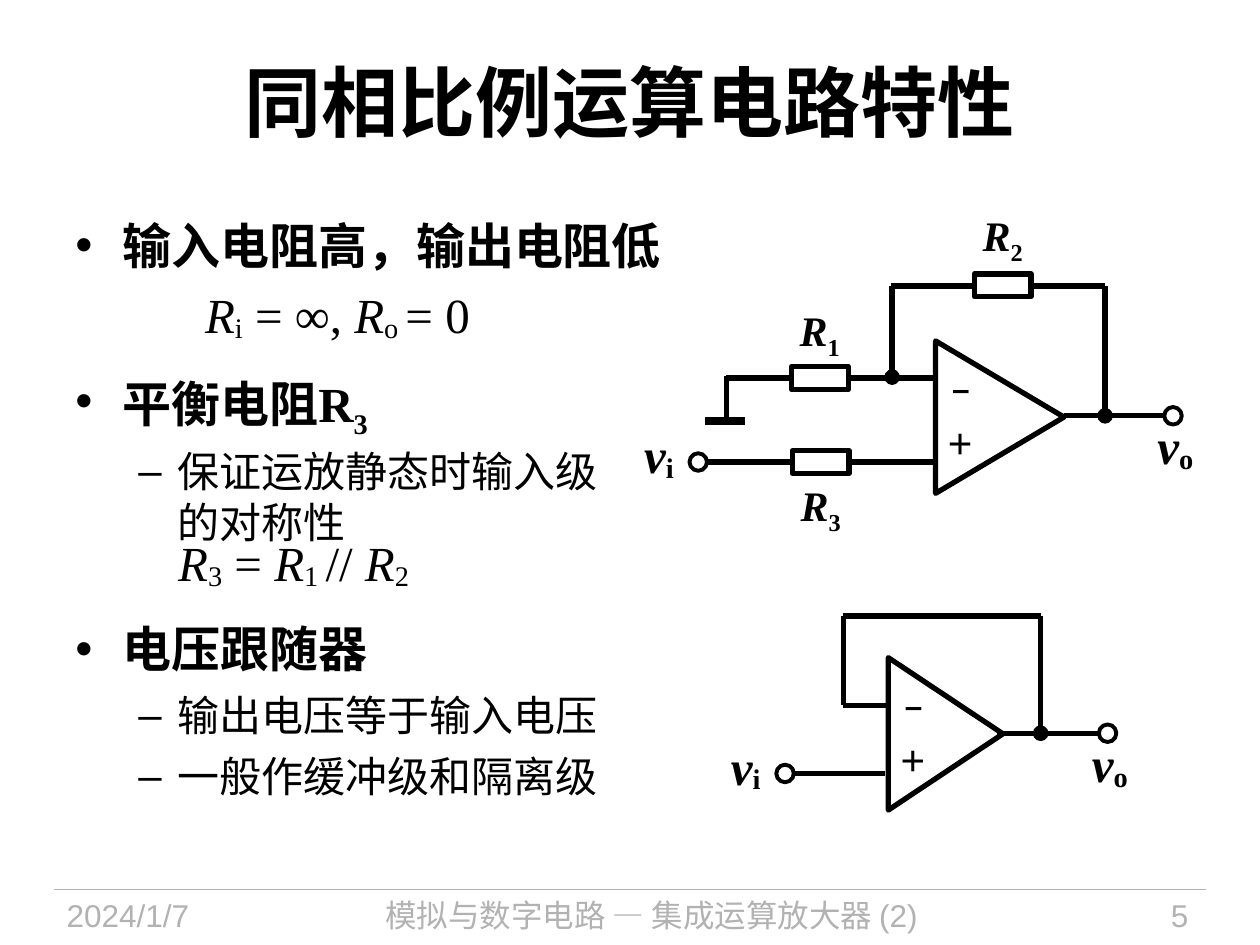
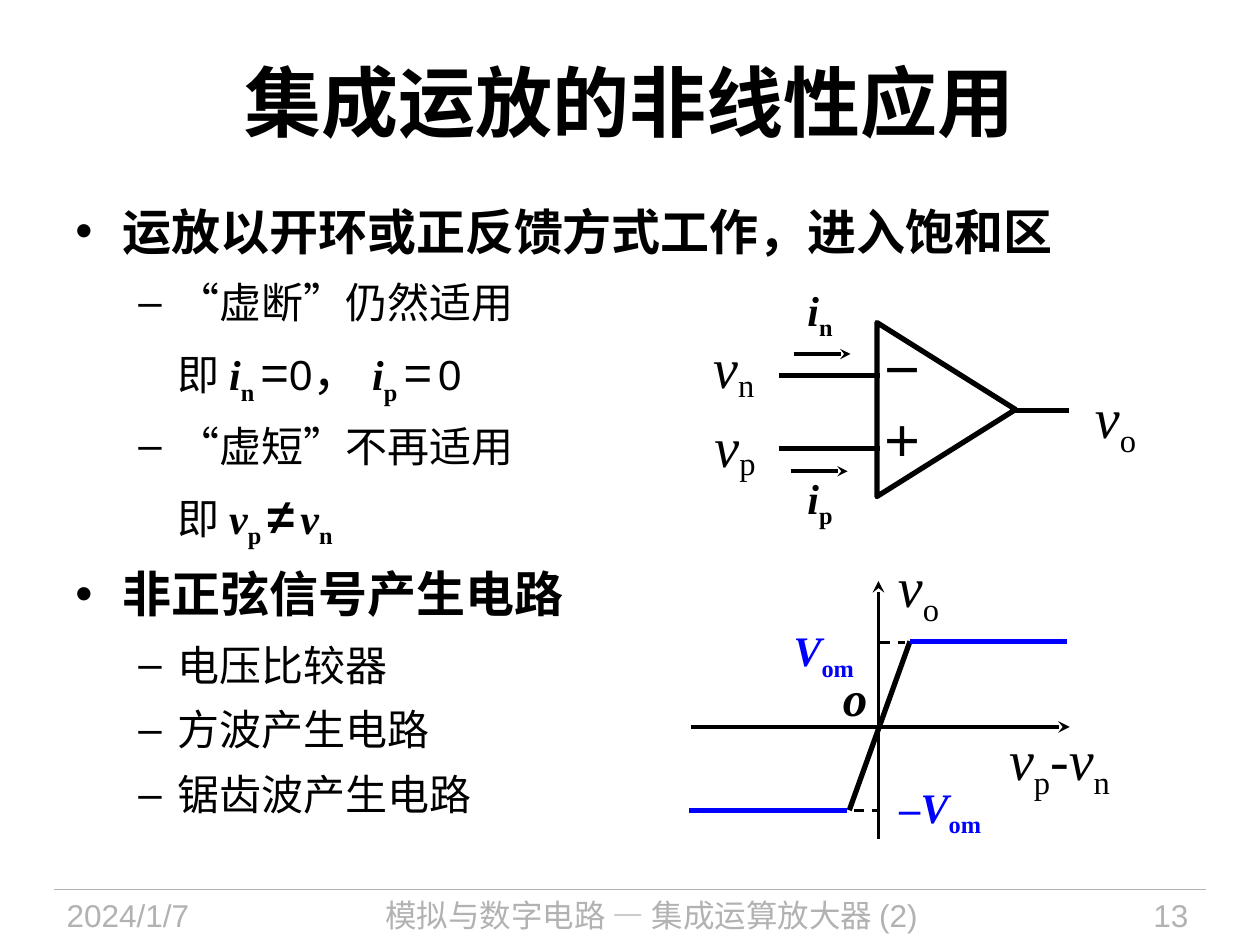
from dataclasses import dataclass

from lxml import etree
from pptx import Presentation
from pptx.dml.color import RGBColor
from pptx.enum import dml, shapes, text
from pptx.oxml import ns
from pptx.util import Pt


@dataclass(frozen=True)
class Theme:
    """Colours, fonts and sizes used by all slides."""
    ink: str = "000000"
    paper: str = "FFFFFF"
    gray: str = "B2B2B2"
    blue: str = "0000FF"
    sans: str = "Arial"
    serif: str = "Times New Roman"
    title: int = 44
    big: int = 32
    head: int = 28
    sub: int = 24
    small: int = 18
    wire: float = 3


T = Theme()
LEFT, MID, RIGHT = text.PP_ALIGN.LEFT, text.PP_ALIGN.CENTER, text.PP_ALIGN.RIGHT


def rgb(code):
    """Turn a hex code into a colour."""
    return RGBColor.from_string(code)


def child(node, tag, **attrs):
    """Append a drawing element to a node."""
    return etree.SubElement(node, ns.qn("a:" + tag), **attrs)


def write(par, runs, size, color=T.ink, base=-25):
    """Add runs; flags are b bold, i italic, t serif, d lowered."""
    for words, flags, *own in runs:
        run = par.add_run()
        run.text = words
        font = run.font
        font.size = Pt(own[0] if own else size)
        font.name = T.serif if "t" in flags else T.sans
        font.bold, font.italic = "b" in flags, "i" in flags
        font.color.rgb = rgb(color)
        if "d" in flags:
            run._r.get_or_add_rPr().set("baseline", str(base * 1000))


def sym(name, low, flags="t"):
    """Give the runs of an italic symbol with a lowered index."""
    return [(name, flags + "i"), (low, flags + "d")]


class Pen:
    """Draws parts relative to the corner of a box on a slide."""

    def __init__(self, slide, x, y):
        self.kit, self.x, self.y = slide.shapes, x, y

    def line(self, x1, y1, x2, y2, width=T.wire, color=T.ink, tail=None, dash=False):
        """Draw a straight line, with an optional end mark."""
        con = self.kit.add_connector(
            shapes.MSO_CONNECTOR.STRAIGHT, Pt(self.x + x1), Pt(self.y + y1),
            Pt(self.x + x2), Pt(self.y + y2))
        con.line.color.rgb = rgb(color)
        con.line.width = Pt(width)
        if dash:
            con.line.dash_style = dml.MSO_LINE.DASH
        if tail:
            child(con.line._get_or_add_ln(), "tailEnd", type=tail)
        child(con._element.spPr, "effectLst")

    def shape(self, kind, x, y, w, h, width=T.wire, fill=T.paper):
        """Draw a preset outline shape."""
        item = self.kit.add_shape(kind, Pt(self.x + x), Pt(self.y + y), Pt(w), Pt(h))
        item.shadow.inherit = False
        item.line.color.rgb = rgb(T.ink)
        item.line.width = Pt(width)
        if fill:
            item.fill.solid()
            item.fill.fore_color.rgb = rgb(fill)
        else:
            item.fill.background()
        return item

    def frame(self, x, y, w, h, wrap=True, inset=True, mid=False):
        """Add a text box and return its frame."""
        box = self.kit.add_textbox(Pt(self.x + x), Pt(self.y + y), Pt(w), Pt(h))
        body = box.text_frame
        body.word_wrap = wrap
        if not inset:
            body.margin_left = body.margin_right = Pt(0)
            body.margin_top = body.margin_bottom = Pt(0)
        if mid:
            body.vertical_anchor = text.MSO_ANCHOR.MIDDLE
        return body

    def label(self, x, y, w, h, runs, size, color=T.ink, base=-25,
              align=LEFT, gap=None, wrap=False, inset=False, mid=False):
        """Write a one-line label."""
        par = self.frame(x, y, w, h, wrap, inset, mid).paragraphs[0]
        par.alignment = align
        if gap:
            par.line_spacing = gap
        write(par, runs, size, color, base)

    def amp(self, x, y, w, h):
        """Draw an amplifier triangle that points right."""
        tri = self.shape(shapes.MSO_SHAPE.ISOSCELES_TRIANGLE, x + (w - h) / 2,
                         y + (h - w) / 2, h, w, fill=None)
        tri.rotation = 90

    def signs(self, x, y):
        """Write the input signs of an amplifier."""
        self.label(x + 7, y + 43.3, 13.7, 28.8, [("+", "")], T.sub, mid=True)
        self.label(x + 9.5, y + 16, 10, 21.6, [("–", "b")], T.small, mid=True)

    def port(self, x, y, low, dx, dy, w):
        """Draw a terminal ring with its voltage label."""
        self.shape(shapes.MSO_SHAPE.OVAL, x - 5, y - 5, 10, 10, 2.25)
        self.label(x + dx, y + dy, w, 33.8, sym("v", low, "tb"), T.head,
                   base=-10, align=RIGHT)

    def ports(self, left, right):
        """Draw the input and the output terminal."""
        self.port(*left, "i", -31.3, -21.4, 17.3)
        self.port(*right, "o", -10, 0, 21.6)

    def resist(self, x, y, low, dy):
        """Draw a resistor about a centre, with its name."""
        self.shape(shapes.MSO_SHAPE.RECTANGLE, x - 16.2, y - 6.5, 32.4, 13)
        self.label(x - 11.5, y + dy, 23.8, 30, sym("R", low, "tb"), T.sub)


def bullets(frame, rows, ratio, gap=1.0):
    """Fill a frame with rows of level, mark, runs and space before."""
    for num, (level, mark, runs, before) in enumerate(rows):
        par = frame.paragraphs[0] if num == 0 else frame.add_paragraph()
        size = T.sub if level else T.head
        left, hang = (58.5, 22.5) if level else (27, 27)
        par.space_after, par.space_before = Pt(round(size * ratio, 1)), Pt(before)
        par.line_spacing = 1.0 if level else gap
        props = par._p.get_or_add_pPr()
        props.set("marL", str(Pt(left)))
        props.set("indent", str(-Pt(hang) if mark else 0))
        if mark:
            child(props, "buFont", typeface=T.sans)
            child(props, "buChar", char=mark)
        write(par, runs, size)


def head(words):
    """Give a top-level row."""
    return 0, "•", [(words, "b")], 0


def sub(words):
    """Give a second-level row."""
    return 1, "–", [(words, "")], 0


def base(deck, title, number):
    """Add a slide with its title and footer band."""
    slide = deck.slides.add_slide(deck.slide_layouts[5])
    name = slide.shapes.title
    name.left, name.top, name.width, name.height = Pt(36), Pt(12.5), Pt(648), Pt(90)
    body = name.text_frame
    body.word_wrap = True
    body.vertical_anchor = text.MSO_ANCHOR.MIDDLE
    body.paragraphs[0].alignment = MID
    write(body.paragraphs[0], [(title, "b")], T.title)
    pen = Pen(slide, 31, 508.3)
    pen.line(0, 0, 658, 0, 0.75, T.gray)
    for x, w, words, align in ((0, 135.4, "2024/1/7", LEFT),
                               (148.3, 386, "模拟与数字电路 — 集成运算放大器 (2)", MID),
                               (559.4, 95.8, number, RIGHT)):
        pen.label(x, 0, w, 31.7, [(words, "")], T.small, T.gray,
                  align=align, wrap=True, inset=True)
    return slide


def traits(slide, x, y):
    """Write the notes on the non-inverting amplifier."""
    pen = Pen(slide, x, y)
    bullets(pen.frame(0, 0, 426, 51), [head("输入电阻高，输出电阻低")], 0.24)
    rows = [(0, "•", [("平衡电阻", "b"), (" R", "bt"), ("3", "btd")], 0),
            sub("保证运放静态时输入级的对称性"),
            (0, "•", [("电压跟随器", "b")], 39),
            sub("输出电压等于输入电压"), sub("一般作缓冲级和隔离级")]
    rows[0][2][1] = ("R", "bt")
    bullets(pen.frame(0, 90.7, 326, 289.4), rows, 0.24, 0.9)
    for left, top, w, runs in (
            (65, 39.6, 183.6, sym("R", "i") + [(" = ∞, ", "t")]
             + sym("R", "o ") + [("= 0", "t")]),
            (56.2, 181.4, 151.2, sym("R", "3") + [(" = ", "t")] + sym("R", "1 ")
             + [("// ", "t")] + sym("R", "2"))):
        pen.label(left, top, w, 41, runs, T.head, base=-10, align=MID, inset=True)


def scaler(slide, x, y):
    """Draw the non-inverting amplifier circuit."""
    pen = Pen(slide, x, y)
    for wire in ((55, 106, 175, 106), (44, 154, 174, 154), (248, 127.6, 306, 127.6),
                 (55, 105, 55, 130), (149, 53.5, 271.5, 53.5)):
        pen.line(*wire)
    pen.line(43, 130.5, 66, 130.5, 4.5)
    pen.line(271.5, 53.5, 271.5, 127.6, tail="oval")
    pen.line(149.8, 53.5, 149.8, 105.5, tail="oval")
    for left, top, low, dy in ((108.5, 106, "1", -42), (213, 53, "2", -43.5),
                               (109, 154, "3", 10)):
        pen.resist(left, top, low, dy)
    pen.ports((39, 154), (310.3, 127.6))
    pen.signs(174.6, 84.8)
    pen.amp(174.6, 84.8, 73.4, 87.1)


def buffer(slide, x, y):
    """Draw the voltage follower circuit."""
    pen = Pen(slide, x, y)
    for wire in ((72, 58, 99, 58), (43.6, 97, 96, 97), (160, 74, 219, 74),
                 (72, 7, 184.7, 7), (72, 7, 72, 58)):
        pen.line(*wire)
    pen.line(184.7, 7, 184.7, 74, tail="oval")
    pen.ports((38.6, 97), (222.9, 74))
    pen.signs(97.6, 30.8)
    pen.amp(97.6, 30.8, 65.5, 87.1)


def uses(slide, x, y):
    """Write the notes on non-linear use."""
    zero = [("即 ", "")] + sym("i", "n ", "tb") + [("=", "", T.head), ("0", ""),
                                                  ("， ", "", T.head)]
    zero += sym("i", "p ", "tb") + [("=", "", T.head), (" ", "tbd"), ("0", "")]
    apart = [("即 ", "")] + sym("v", "p ", "tb") + [("≠", "b", T.head), (" ", "tbd")]
    apart += sym("v", "n", "tb")
    rows = [head("运放以开环或正反馈方式工作，进入饱和区"),
            sub("“虚断”仍然适用"), (1, None, zero, 0),
            sub("“虚短”不再适用"), (1, None, apart, 0),
            head("非正弦信号产生电路"),
            *map(sub, ("电压比较器", "方波产生电路", "锯齿波产生电路"))]
    bullets(Pen(slide, x, y).frame(0, 0, 653, 391), rows, 0.34)


def opamp(slide, x, y):
    """Draw the open-loop amplifier with its currents."""
    pen = Pen(slide, x, y)
    for left, top, low, drop in ((12.6, 27, "n", -15), (13.3, 72, "p", -15),
                                 (230.7, 55, "o", -25)):
        pen.label(left, top, 24.5, 46, sym("v", low), T.big, base=drop, gap=1.2)
    for top, sign in ((79, "＋"), (38, "－")):
        pen.label(91.7, top, 58, 36, [(sign, "tb")], T.sub, align=MID, mid=True)
    for wire in ((50, 59.6, 108, 59.6), (50, 101.3, 108, 101.3), (185, 79.7, 216, 79.7)):
        pen.line(*wire)
    pen.amp(106.1, 29.3, 79.2, 99.4)
    for low, top, left, rise in (("n", 4, 58.6, 47.3), ("p", 111.4, 57, 114.3)):
        pen.label(59.3, top, 41.8, 36, sym("i", low, "tb"), T.sub, wrap=True, inset=True)
        pen.line(left, rise, left + 32.4, rise, 2, tail="stealth")


def curve(slide, x, y):
    """Draw the transfer curve with its axes."""
    pen = Pen(slide, x, y)
    pen.line(112, 169.5, 112, 22, 2.25, tail="stealth")
    pen.line(4.6, 105.4, 221.3, 105.4, 2.25, tail="stealth")
    pen.line(98, 153, 112.6, 153, 1.5, dash=True)
    pen.line(112.6, 57, 127, 57, 1.5, dash=True)
    pen.line(130, 56.5, 95.3, 153)
    pen.line(130, 56.5, 220, 56.5, color=T.blue)
    pen.line(3.8, 153, 94, 153, color=T.blue)
    for left, top, w, name in ((56.4, 43.5, 52, "V"), (117, 132.8, 64, "–V")):
        pen.label(left, top, w, 36, sym(name, "om", "tb"), T.sub, T.blue, inset=True)
    pen.label(84.5, 68, 29, 41, [("o", "tbi")], T.head, inset=True)
    pen.label(116, 5.4, 52, 38, sym("v", "o"), T.big, gap=0.8, wrap=True, inset=True)
    pen.label(179.5, 87.4, 90, 57, sym("v", "p") + [("-", "t")] + sym("v", "n"),
              T.big, gap=1.3, wrap=True, inset=True)


def main():
    """Build and save the slides."""
    deck = Presentation()
    deck.slide_width, deck.slide_height = Pt(720), Pt(540)
    slide = base(deck, "同相比例运算电路特性", "5")
    traits(slide, 36, 119.5)
    scaler(slide, 360, 110)
    buffer(slide, 410, 345)
    slide = base(deck, "集成运放的非线性应用", "13")
    uses(slide, 36, 111.6)
    opamp(slide, 395, 155)
    curve(slide, 390, 310)
    deck.save("out.pptx")


if __name__ == "__main__":
    main()
